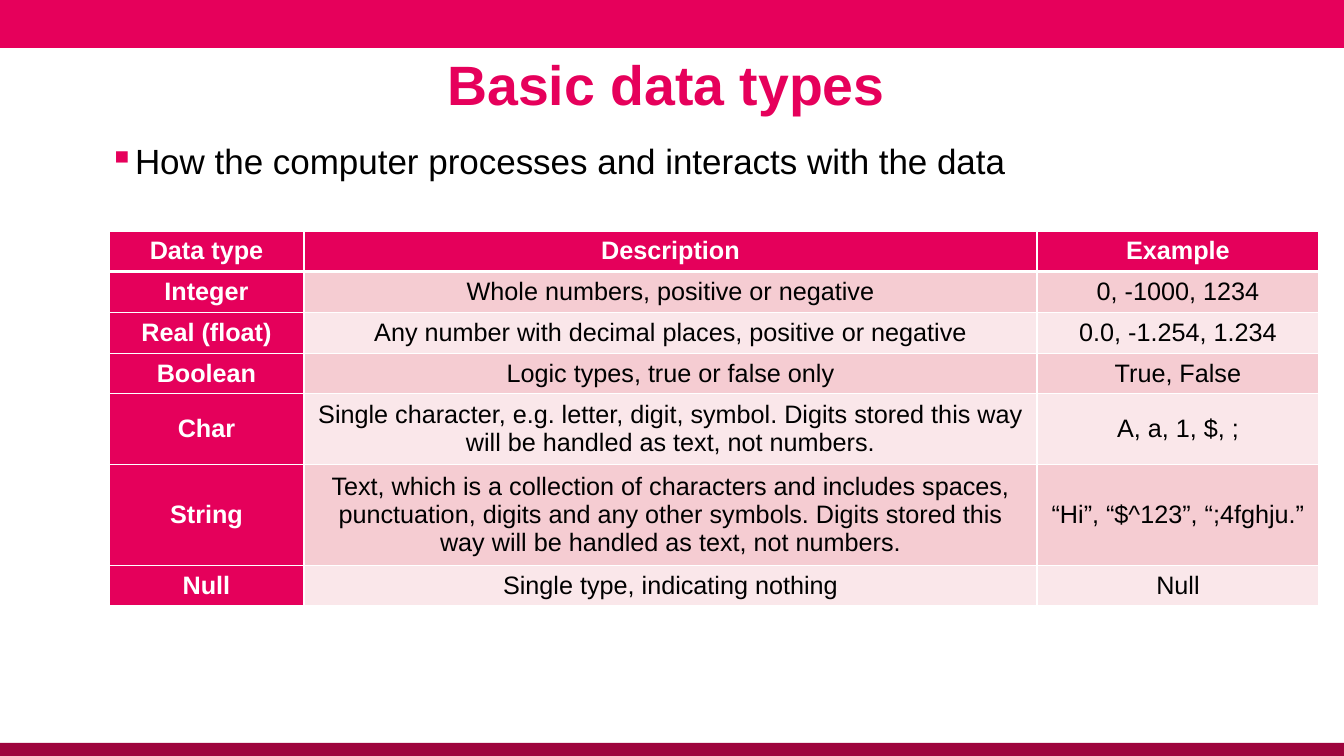
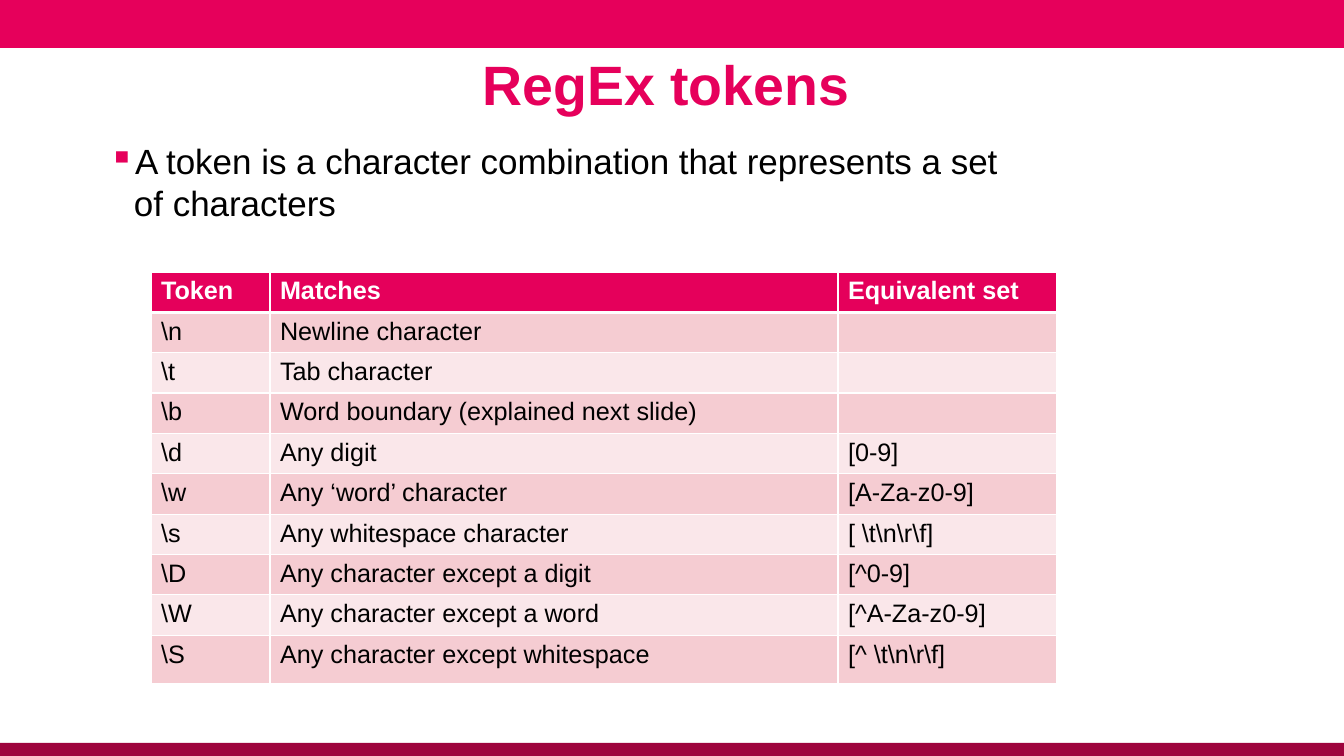
from dataclasses import dataclass

from lxml.etree import SubElement
from pptx import Presentation
from pptx.dml.color import RGBColor
from pptx.enum.shapes import MSO_SHAPE
from pptx.enum.text import MSO_ANCHOR, PP_ALIGN
from pptx.oxml import parse_xml
from pptx.oxml.ns import nsdecls, qn
from pptx.util import Emu, Pt

EMU_PER_PX = 914400 / 100.8
WIDTH, HEIGHT = 1344, 756
FONT = "Arial"
PINK, DARK_PINK, HEADER = "E6005B", "9E043D", "E5005B"
ROW_FILLS = ("F5CCD2", "FAE7EA")
WHITE, BLACK = "FFFFFF", "000000"


@dataclass(frozen=True)
class Band:
    top: int
    height: int
    fill: str


@dataclass(frozen=True)
class Grid:
    left: int
    top: int
    cols: tuple[int, ...]
    heights: tuple[int, ...]
    rows: tuple[tuple[str, ...], ...]
    centred: bool = False
    header_col: bool = False


@dataclass(frozen=True)
class Page:
    title: str
    bullet: str
    bullet_size: tuple[int, int]
    grid: Grid


BANDS = (Band(0, 48, PINK), Band(743, 13, DARK_PINK))

PAGES = (
    Page(
        "Basic data types",
        "How the computer processes and interacts with the data",
        (1175, 566),
        Grid(
            109, 231, (195, 733, 282), (40, 41, 41, 40, 67, 95, 40),
            (
                ("Data type", "Description", "Example"),
                ("Integer", "Whole numbers, positive or negative", "0, -1000, 1234"),
                ("Real (float)", "Any number with decimal places, positive or negative",
                 "0.0, -1.254, 1.234"),
                ("Boolean", "Logic types, true or false only", "True, False"),
                ("Char", "Single character, e.g. letter, digit, symbol. Digits stored "
                 "this way will be handled as text, not numbers.", "A, a, 1, $, ;"),
                ("String", "Text, which is a collection of characters and includes "
                 "spaces, punctuation, digits and any other symbols. Digits stored "
                 "this way will be handled as text, not numbers.",
                 "“Hi”, “$^123”, “;4fghju.”"),
                ("Null", "Single type, indicating nothing", "Null"),
            ),
            centred=True, header_col=True,
        ),
    ),
    Page(
        "RegEx tokens",
        "A token is a character combination that represents a set of characters",
        (906, 97),
        Grid(
            151, 272, (119, 568, 219), (38,) * 9 + (48,),
            (
                ("Token", "Matches", "Equivalent set"),
                (r"\n", "Newline character", ""),
                (r"\t", "Tab character", ""),
                (r"\b", "Word boundary (explained next slide)", ""),
                (r"\d", "Any digit", "[0-9]"),
                (r"\w", "Any ‘word’ character", "[A-Za-z0-9]"),
                (r"\s", "Any whitespace character", r"[ \t\n\r\f]"),
                (r"\D", "Any character except a digit", "[^0-9]"),
                (r"\W", "Any character except a word", "[^A-Za-z0-9]"),
                (r"\S", "Any character except whitespace", r"[^ \t\n\r\f]"),
            ),
        ),
    ),
)


def px(n: int) -> Emu:
    return Emu(round(n * EMU_PER_PX))


def rgb(color: str) -> RGBColor:
    return RGBColor.from_string(color)


def write(tf, text: str, *, size: float, color: str = BLACK, bold: bool = False,
          align=PP_ALIGN.LEFT, spacing: float | None = None, before: int = 0):
    p = tf.paragraphs[0]
    p.alignment = align
    p.space_before = Pt(before)
    if spacing:
        p.line_spacing = spacing
    p.font.size = Pt(size)
    if text:
        r = p.add_run()
        r.text = text
        r.font.name = FONT
        r.font.size = Pt(size)
        r.font.bold = bold
        r.font.color.rgb = rgb(color)
    return p


def add_bullet(p, indent: int) -> None:
    pPr = p._p.get_or_add_pPr()
    pPr.set("marL", str(px(indent)))
    pPr.set("indent", str(-px(indent)))
    clr = parse_xml(f'<a:buClr {nsdecls("a")}><a:srgbClr val="{PINK}"/></a:buClr>')
    def_rpr = pPr.find(qn("a:defRPr"))
    char = parse_xml(f'<a:buChar {nsdecls("a")} char="▪"/>')
    for el in (clr, char):
        def_rpr.addprevious(el)


def add_box(s, left: int, top: int, width: int, height: int, anchor=MSO_ANCHOR.TOP):
    tf = s.shapes.add_textbox(*map(px, (left, top, width, height))).text_frame
    tf.word_wrap = True
    tf.vertical_anchor = anchor
    tf.margin_left = 0
    tf.margin_right = px(10)
    tf.margin_top = tf.margin_bottom = px(5)
    return tf


def add_band(s, band: Band) -> None:
    sp = s.shapes.add_shape(MSO_SHAPE.RECTANGLE, 0, px(band.top), px(WIDTH), px(band.height))
    sp.shadow.inherit = False
    sp.fill.solid()
    sp.fill.fore_color.rgb = rgb(band.fill)
    sp.line.fill.background()


def add_borders(cell, top: int, bottom: int) -> None:
    tcPr = cell._tc.get_or_add_tcPr()
    for i, (side, width) in enumerate((("L", 1), ("R", 1), ("T", top), ("B", bottom))):
        ln = parse_xml(f'<a:ln{side} {nsdecls("a")} w="{Pt(width)}"/>')
        fill = SubElement(ln, qn("a:solidFill"))
        SubElement(fill, qn("a:srgbClr"), val=WHITE)
        tcPr.insert(i, ln)


def add_grid(s, grid: Grid) -> None:
    frame = s.shapes.add_table(
        len(grid.rows), len(grid.cols), px(grid.left), px(grid.top),
        px(sum(grid.cols)), px(sum(grid.heights)))
    table = frame.table
    table.first_row = table.horz_banding = False
    for col, width in zip(table.columns, grid.cols):
        col.width = px(width)
    for i, (row, height, texts) in enumerate(zip(table.rows, grid.heights, grid.rows)):
        row.height = px(height)
        for j, (cell, text) in enumerate(zip(row.cells, texts)):
            head = i == 0 or (grid.header_col and j == 0)
            cell.fill.solid()
            cell.fill.fore_color.rgb = rgb(HEADER if head else ROW_FILLS[(i - 1) % 2])
            cell.vertical_anchor = MSO_ANCHOR.MIDDLE if grid.centred else MSO_ANCHOR.TOP
            write(cell.text_frame, text, size=18, bold=head,
                  color=WHITE if head else BLACK,
                  align=PP_ALIGN.CENTER if grid.centred else PP_ALIGN.LEFT)
            add_borders(cell, 3 if i == 1 else 1, 3 if i == 0 else 1)


def add_page(prs, page: Page) -> None:
    s = prs.slides.add_slide(prs.slide_layouts[6])
    for band in BANDS:
        add_band(s, band)
    write(add_box(s, 48, 49, 1246, 76, MSO_ANCHOR.MIDDLE), page.title, size=39.6,
          color=PINK, bold=True, align=PP_ALIGN.CENTER, spacing=0.9)
    p = write(add_box(s, 109, 135, *page.bullet_size), page.bullet, size=25, before=10)
    add_bullet(p, 25)
    add_grid(s, page.grid)


def main() -> None:
    prs = Presentation()
    prs.slide_width, prs.slide_height = px(WIDTH), px(HEIGHT)
    for page in PAGES:
        add_page(prs, page)
    prs.save("out.pptx")


if __name__ == "__main__":
    main()
